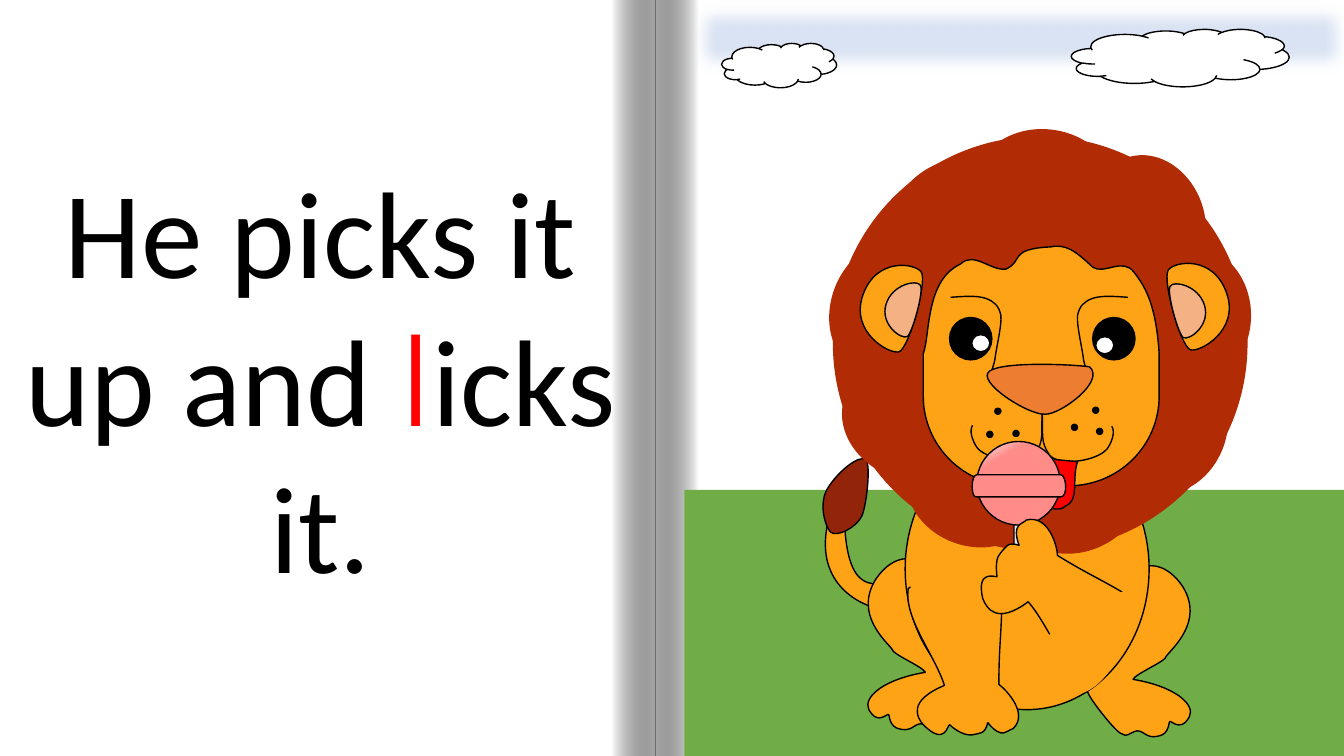
from dataclasses import dataclass
from math import cos, radians, sin
from typing import Any

from lxml.etree import SubElement
from pptx import Presentation
from pptx.dml.color import RGBColor
from pptx.enum.shapes import MSO_SHAPE as Shape
from pptx.enum.text import MSO_AUTO_SIZE as AutoSize, PP_ALIGN as Align
from pptx.oxml.ns import qn
from pptx.util import Pt

C = {
    "black": "000000", "white": "FFFFFF", "red": "FF0000", "sky": "DAE3F3",
    "grass": "70AD47", "fur": "FFA316", "mane": "B12C05", "tuft": "912409",
    "ear": "F4B183", "nose": "ED7D31", "stick": "E7E6E6", "candy": "FF8C89",
    "shine": "F6F8FC",
}
GRID_W = 4000 / 3

LEG = """M 1110,586 C 1110,582 1108,578 1112,578 1142,544 1166,570 1174,583
    1194,617 1163,643 1157,651 1157,656 1127,668 1124,674 1166,681 1186,699 1180,711
    1170,729 1160,711 1160,717 1159,723 1157,727 1153,729 1138,735 1136,725 1128,725
    1120,727 1118,732 1113,728 1108,728 1079,691 1079,686 1079,665 1110,608 1110,586 Z"""
TAIL = """M 872,604 C 857,601 808,582 821,520 L 838,520 C 842,605 880,569 887,583
    888,584 881,601 880,602 L 872,610 Z"""
TUFT = """M 855,512 C 860,500 864,461 859,456 853,451 833,466 822,483
    811,499 819,523 824,528 830,533 849,524 855,512 Z"""
FACE = """M 916,351 C 923,332 918,278 953,262 966,249 983,269 998,267
    1016,259 1000,247 1042,245 1057,242 1066,248 1084,265 1095,273 1114,255 1125,270
    1136,284 1147,302 1150,351 L 1150,393 C 1150,442 1110,482 1060,482 L 1005,482
    C 956,482 916,442 916,393 Z"""
BROW = """M 1119,295 C 1106,294 1093,293 1084,296 1076,299 1071,303 1069,313
    1068,323 1074,347 1075,357 1077,366 1080,372 1080,372"""
SMILE = """M 1034,405 C 1033,432 1036,437 1027,450 1018,463 975,456 968,442
    960,428 965,422 965,422"""
EAR = """M 856,293 C 869,255 908,261 914,270 920,280 902,345 892,349
    883,352 843,330 856,293 Z"""
INNER_EAR = """M 879,302 C 885,282 910,277 913,283 917,288 905,331 900,334
    894,337 873,322 879,302 Z"""
FRONT_LEGS = """M 994,587 C 994,583 977,583 973,583 L 941,583 C 937,583 901,580 901,584
    897,614 927,649 937,680 901,695 909,711 916,719 938,741 940,719 942,719
    950,726 958,730 965,729 972,727 977,729 980,717 995,735 999,724 1005,723
    1021,708 998,684 991,679 991,639 994,628 994,587 Z"""
NOSE = """M 982,368 C 967,378 1020,412 1037,411 1053,411 1097,378 1081,364
    1070,362 997,358 982,368 Z"""
TONGUE = """M 1024,461 C 1018,445 1004,453 1069,458 1063,476 1071,497 1057,502
    1054,508 1020,510 1024,461 Z"""
BAND = """M 969,493 C 963,495 963,471 969,471 L 1052,471
    C 1058,470 1060,494 1052,493 Z"""
ARM = """M 1129,597 C 1133,599 1124,613 1122,617 L 1105,644 C 1103,648 1087,680 1083,677
    1055,666 1041,621 1020,597 989,620 979,604 975,594 968,564 988,573 989,572
    988,561 988,553 993,548 998,543 999,537 1011,541 1003,519 1015,520 1018,516
    1040,510 1049,542 1049,551 1083,572 1094,575 1129,597 Z"""
SHOULDER = """M 1132,584 C 1142,590 1108,654 1095,669 1083,685 1074,685 1056,678
    1039,670 1024,650 1037,635 1049,619 1122,578 1132,584 Z"""
MANE = [
    (827, 136, 410, 410, 0), (899, 431, 133, 110, 19.4), (1001, 437, 133, 110, 338.3),
    (1095, 369, 133, 110, 289.4), (1119, 258, 133, 110, 270), (1073, 165, 133, 110, 251.6),
    (834, 364, 133, 110, 25.6), (811, 253, 133, 105, 289.4), (873, 167, 133, 105, 311),
    (971, 129, 133, 105, 7.1),
]
WHISKER_SPOTS = [(1088, 425), (1063, 421), (1084, 404), (1005, 427), (979, 428), (987, 405)]


def paint(shape, fill, line):
    shape.shadow.inherit = False
    if fill:
        shape.fill.solid()
        shape.fill.fore_color.rgb = RGBColor.from_string(C[fill])
    else:
        shape.fill.background()
    if line:
        shape.line.color.rgb = RGBColor.from_string(C[line])
        shape.line.width = Pt(1)
    else:
        shape.line.fill.background()
    return shape


def shade(shape, stops, angle):
    shape.fill.gradient()
    shape.fill.gradient_angle = angle
    for stop, (position, colour) in zip(shape.fill.gradient_stops, stops):
        stop.position = position
        stop.color.rgb = RGBColor.from_string(C[colour])


def trace(path):
    points, commands, command = [], [], "M"
    for token in path.split():
        if token in "MLCZ":
            command = token
        else:
            points.append(complex(*map(float, token.split(","))))
            commands.append(command)
    return points, commands


def bend(shape, commands):
    steps = iter(shape._element.findall(".//" + qn("a:lnTo")))
    kinds = iter(commands[1:])
    for step, kind in zip(steps, kinds):
        if kind == "C":
            step.tag = qn("a:cubicBezTo")
            for _ in range(2):
                extra = next(steps)
                next(kinds)
                step.append(extra[0])
                extra.getparent().remove(extra)


@dataclass
class Pen:
    shapes: Any
    left: float
    top: float
    width: float

    def length(self, v):
        return Pt(v * self.width / GRID_W)

    def spot(self, x, y):
        return Pt(self.left) + self.length(x), Pt(self.top) + self.length(y)

    def group(self):
        return Pen(self.shapes.add_group_shape().shapes, self.left, self.top, self.width)

    def preset(self, kind, x, y, w, h, fill, line="black", rot=0):
        shape = self.shapes.add_shape(kind, *self.spot(x, y), self.length(w), self.length(h))
        shape.rotation = rot
        return paint(shape, fill, line)

    def free(self, path, fill=None, line="black", rot=0, mirror=None):
        points, commands = trace(path)
        if mirror:
            total, drop = mirror
            points = [complex(total - p.real, p.imag + drop) for p in points]
            rot = -rot % 360
        spin = complex(cos(radians(rot)), sin(radians(rot)))
        points = [p / spin for p in points]
        xs, ys = [p.real for p in points], [p.imag for p in points]
        centre = complex(min(xs) + max(xs), min(ys) + max(ys)) / 2
        corners = [p - centre + centre * spin for p in points]
        start, *rest = [self.spot(p.real, p.imag) for p in corners]
        builder = self.shapes.build_freeform(*start)
        builder.add_line_segments(rest, close=path.endswith("Z"))
        shape = builder.convert_to_shape()
        bend(shape, commands)
        shape.rotation = rot
        return paint(shape, fill, line)

    def pair(self, path, mirror, **look):
        self.free(path, **look)
        self.free(path, mirror=mirror, **look)


def draw_pages(pen):
    book = pen.group()
    book.preset(Shape.RECTANGLE, -1, 0, 1347, 750, "white", None)
    for x, angle in ((650, 180), (607, 0)):
        fold = book.preset(Shape.RECTANGLE, x, 0, 43, 750, "white", None)
        shade(fold, [(0, "white"), (1, "black")], angle)
        dark = fold._element.spPr.findall(".//" + qn("a:srgbClr"))[1]
        SubElement(dark, qn("a:alpha"), val="34000")


def draw_story(pen, runs):
    box = pen.shapes.add_textbox(*pen.spot(-7, 149), pen.length(650), pen.length(454))
    tf = box.text_frame
    tf.word_wrap = True
    tf.auto_size = AutoSize.SHAPE_TO_FIT_TEXT
    p = tf.paragraphs[0]
    p.alignment = Align.CENTER
    for text, font, colour in runs:
        add_run(p, text, size=88, font=font, colour=colour)


def add_run(p, text, size, font, colour):
    r = p.add_run()
    r.text = text
    r.font.size = Pt(size)
    r.font.name = font
    r.font.color.rgb = RGBColor.from_string(C[colour])


def draw_scenery(pen):
    sky = pen.preset(Shape.RECTANGLE, 679, -5, 667, 85, "sky", "sky")
    effects = sky._element.spPr.find(qn("a:effectLst"))
    SubElement(effects, qn("a:softEdge"), rad=str(int(Pt(12.5))))
    for cloud in ((716, 43, 114, 44), (1063, 29, 216, 57)):
        pen.preset(Shape.CLOUD, *cloud, "white")
    grass = pen.preset(Shape.ROUND_1_RECTANGLE, 679, 486, 687, 289, "grass", None)
    grass.adjustments[0] = 0


def draw_lion(pen):
    pen.free(LEG, "fur")
    pen.free(TAIL, "fur", rot=315.7)
    pen.free(TUFT, "tuft", rot=34)
    pen.free(LEG, "fur", mirror=(2042, -7))
    pen.preset(Shape.OVAL, 898, 425, 242, 279, "fur")
    for x, y, w, h, rot in MANE:
        pen.preset(Shape.OVAL, x, y, w, h, "mane", "mane", rot)
    pen.free(FACE, "fur")
    pen.pair(BROW, (2062, 0))
    for eye_x, glint_x, glint_y in ((1084, 1087, 334), (942, 964, 332)):
        pen.preset(Shape.OVAL, eye_x, 315, 42, 42, "black")
        pen.preset(Shape.OVAL, glint_x, glint_y, 18, 17, "white")
    for x, y in WHISKER_SPOTS:
        pen.preset(Shape.OVAL, x, y, 6, 6, "black")
    pen.pair(SMILE, (2068, 1))
    pen.pair(EAR, (2073, -2), fill="fur", rot=14.6)
    pen.pair(INNER_EAR, (2074, 1), fill="ear", rot=14.6)
    pen.free(FRONT_LEGS, "fur")
    pen.free(NOSE, "nose")
    pen.preset(Shape.OVAL, 904, 550, 97, 70, "fur", "fur", 7.3)


def draw_lollipop(pen):
    pen.preset(Shape.ROUNDED_RECTANGLE, 1006, 514, 9, 68, "stick")
    ball = pen.preset(Shape.OVAL, 969, 438, 83, 83, "candy")
    shade(ball, [(0, "shine"), (0.23, "candy")], 300)
    shade(pen.free(BAND, "candy"), [(0.92, "candy"), (1, "shine")], 300)


def draw_licking(pen):
    pen.preset(Shape.OVAL, 1020, 598, 118, 69, "fur", "fur", 112.4)
    pen.free(TONGUE, "red", rot=19.8)
    draw_lollipop(pen.group())
    pen.free(ARM, "fur", rot=121.4)
    pen.free(SHOULDER, "fur", "fur", rot=112.4)


def main():
    prs = Presentation()
    prs.slide_width, prs.slide_height = Pt(960), Pt(540)
    s = prs.slides.add_slide(prs.slide_layouts[6])
    s.background.fill.solid()
    s.background.fill.fore_color.rgb = RGBColor.from_string(C["black"])
    pen = Pen(s.shapes, 0, 0, 960)
    draw_pages(pen)
    draw_story(pen, [("He picks it up and ", "Calibri", "black"),
                     ("l", "Montserrat", "red"), ("icks it.", "Calibri", "black")])
    draw_scenery(pen)
    draw_lion(pen.group())
    draw_licking(pen)
    prs.save("out.pptx")


if __name__ == "__main__":
    main()
